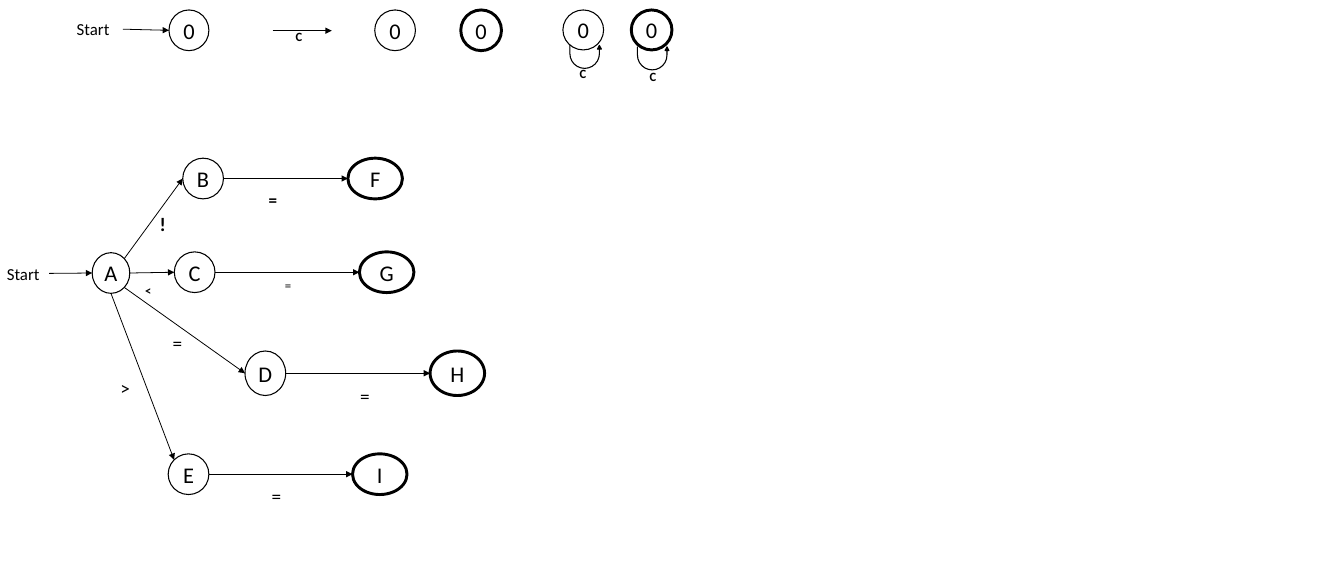
from math import cos, radians, sin

from lxml import etree
from pptx import Presentation
from pptx.dml.color import RGBColor
from pptx.enum.shapes import MSO_CONNECTOR, MSO_SHAPE
from pptx.enum.text import MSO_ANCHOR, PP_ALIGN
from pptx.oxml.ns import qn
from pptx.util import Inches, Pt

BLACK = RGBColor(0, 0, 0)
FONT = "Calibri"
STRAIGHT = MSO_CONNECTOR.STRAIGHT
ELLIPSE = MSO_SHAPE.OVAL
U_TURN = MSO_SHAPE.U_TURN_ARROW
MIDDLE = MSO_ANCHOR.MIDDLE
CENTER = PP_ALIGN.CENTER

TOP_LEFT, LEFT, BOTTOM, BOTTOM_RIGHT, RIGHT, TOP_RIGHT = 1, 2, 4, 5, 6, 7
STATE_SIZE = 0.53
FINAL_WIDTH = 0.71
THIN, BOLD = 1, 2.75

STATES = {
    "key start": ("0", 2.2, 0.13, 0.52, 0.53, THIN),
    "key state": ("0", 4.88, 0.13, STATE_SIZE, 0.53, THIN),
    "key final": ("0", 6, 0.13, STATE_SIZE, 0.53, BOLD),
    "key loop": ("0", 7.33, 0.13, STATE_SIZE, 0.52, THIN),
    "key final loop": ("0", 8.22, 0.13, STATE_SIZE, 0.52, BOLD),
    "A": ("A", 1.2, 3.29, 0.49, 0.53, THIN),
}
BRANCHES = [
    ("B", 2.38, "F", 4.53, 2.06, 0.53),
    ("C", 2.27, "G", 4.68, 3.28, 0.53),
    ("D", 3.19, "H", 5.6, 4.57, 0.58),
    ("E", 2.19, "I", 4.59, 5.91, 0.53),
]
for state, state_left, final, final_left, top, height in BRANCHES:
    STATES[state] = (state, state_left, top, STATE_SIZE, height, THIN)
    STATES[final] = (final, final_left, top, FINAL_WIDTH, height, BOLD)

TRANSITIONS = [
    ((1.6, 0.38), ("key start", LEFT)),
    ((3.55, 0.4), (4.32, 0.4)),
    ((0.64, 3.56), ("A", LEFT)),
    (("A", TOP_RIGHT), ("B", LEFT)),
    (("A", RIGHT), ("C", LEFT)),
    (("A", BOTTOM_RIGHT), ("D", LEFT)),
    (("A", BOTTOM), ("E", TOP_LEFT)),
] + [((branch[0], RIGHT), (branch[2], LEFT)) for branch in BRANCHES]

LOOPS = [(7.42, 0.59), (8.3, 0.61)]
LOOP_BENDS = [0, 0.085, 0.164, 0.717, 1]

LABELS = [
    ("Start", 0.9, 0.2, 0.7, 0.37, 15.8, False),
    ("C", 3.75, 0.33, 0.22, 0.3, 11.8, True),
    ("C", 7.45, 0.81, 0.22, 0.3, 11.8, True),
    ("C", 8.36, 0.85, 0.22, 0.3, 11.8, True),
    ("Start", -0.01, 3.38, 0.66, 0.37, 15.8, False),
    ("!", 1.98, 2.72, 0.22, 0.4, 18, True),
    ("<", 1.79, 3.63, 0.22, 0.3, 11.8, True),
    ("=", 2.15, 4.27, 0.33, 0.4, 18, False),
    (">", 1.47, 4.85, 0.33, 0.4, 18, False),
    ("=", 3.4, 2.42, 0.31, 0.37, 16, True),
    ("=", 3.61, 3.57, 0.22, 0.5, 12, False),
    ("=", 4.59, 4.96, 0.33, 0.4, 18, False),
    ("=", 3.44, 6.26, 0.33, 0.4, 18, False),
]


def write(shape, text, size, bold=False):
    frame = shape.text_frame
    frame.text = text
    frame.word_wrap = True
    font = frame.paragraphs[0].runs[0].font
    font.name, font.size, font.bold = FONT, Pt(size), bold
    font.color.rgb = BLACK
    return frame


def outline(shape, width):
    shape.line.color.rgb = BLACK
    shape.line.width = Pt(width)


def add_state(label, left, top, width, height, weight):
    state = slide.shapes.add_shape(
        ELLIPSE, Inches(left), Inches(top), Inches(width), Inches(height))
    state.shadow.inherit = False
    state.fill.background()
    outline(state, weight)
    frame = write(state, label, 21)
    frame.margin_left = frame.margin_right = 0
    frame.margin_top = frame.margin_bottom = 0
    frame.vertical_anchor = MIDDLE
    frame.paragraphs[0].alignment = CENTER
    return state


def locate(end):
    if end[0] not in STATES:
        return end
    name, site = end
    _, left, top, width, height, _ = STATES[name]
    angle = radians(90 + 45 * site)
    return (left + width / 2 * (1 + cos(angle)),
            top + height / 2 * (1 - sin(angle)))


def add_transition(start, finish):
    points = [Inches(value) for value in locate(start) + locate(finish)]
    arrow = slide.shapes.add_connector(STRAIGHT, *points)
    outline(arrow, 0.75)
    properties = arrow._element.spPr
    etree.SubElement(properties.find(qn("a:ln")), qn("a:tailEnd"), type="triangle")
    etree.SubElement(properties, qn("a:effectLst"))
    links = arrow._element.find(qn("p:nvCxnSpPr")).find(qn("p:cNvCxnSpPr"))
    for tag, end in (("a:stCxn", start), ("a:endCxn", finish)):
        if end[0] in states:
            etree.SubElement(links, qn(tag), id=str(states[end[0]].shape_id),
                             idx=str(end[1]))


def add_loop(left, top):
    loop = slide.shapes.add_shape(
        U_TURN, Inches(left), Inches(top), Inches(0.41), Inches(0.3))
    loop.shadow.inherit = False
    loop.rotation = 180
    loop._element.spPr.find(qn("a:xfrm")).set("flipH", "1")
    for index, bend in enumerate(LOOP_BENDS):
        loop.adjustments[index] = bend
    loop.fill.solid()
    loop.fill.fore_color.rgb = BLACK
    outline(loop, 1)


presentation = Presentation()
presentation.slide_width = Inches(17.5)
presentation.slide_height = Inches(7.5)
slide = presentation.slides.add_slide(presentation.slide_layouts[6])

states = {name: add_state(*state) for name, state in STATES.items()}
for start, finish in TRANSITIONS:
    add_transition(start, finish)
for left, top in LOOPS:
    add_loop(left, top)
for text, left, top, width, height, size, bold in LABELS:
    label = slide.shapes.add_textbox(
        Inches(left), Inches(top), Inches(width), Inches(height))
    write(label, text, size, bold)

presentation.save("out.pptx")
